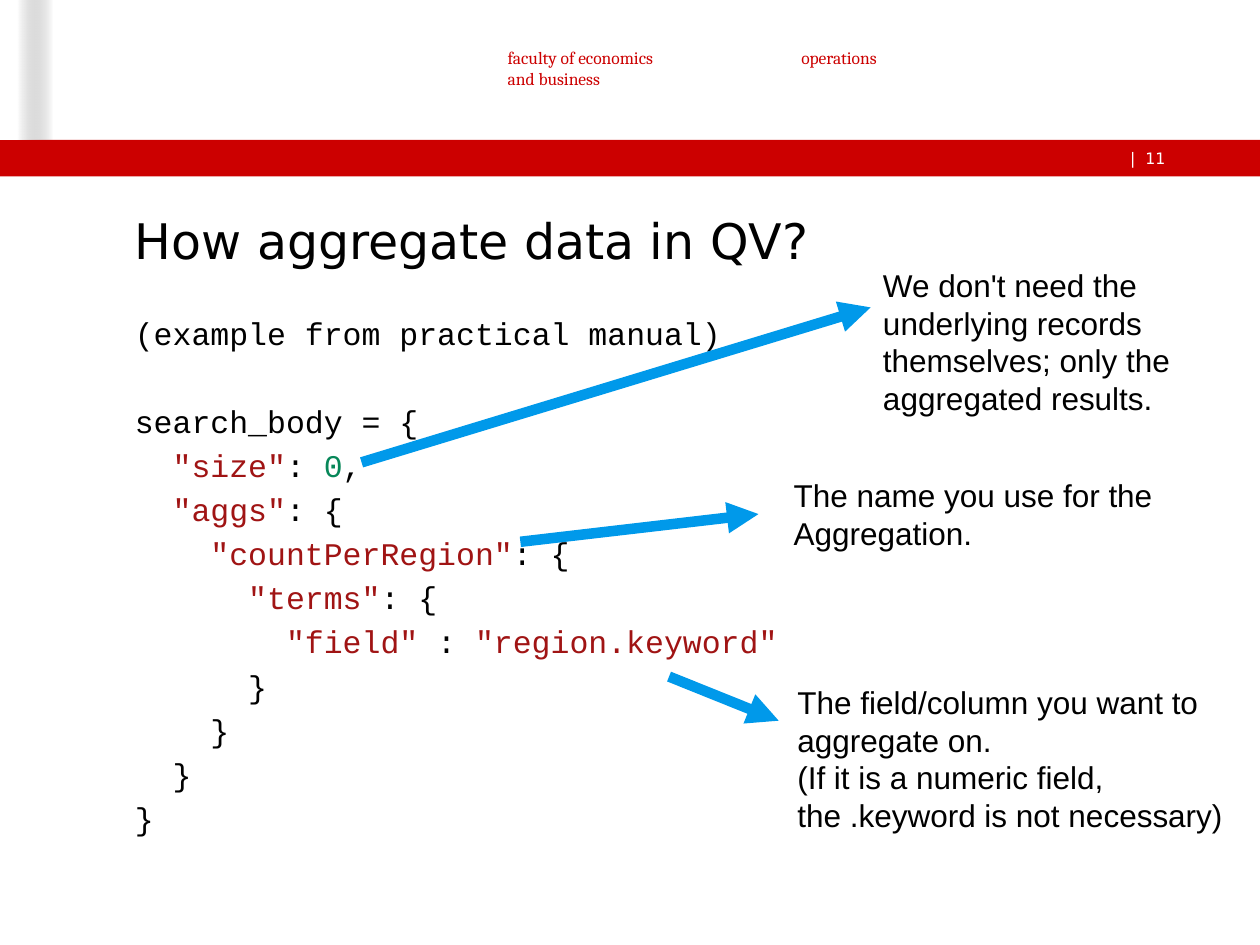
from lxml.etree import SubElement
from pptx import Presentation
from pptx.dml.color import RGBColor
from pptx.enum.shapes import MSO_CONNECTOR, MSO_SHAPE
from pptx.enum.text import MSO_ANCHOR, MSO_AUTO_SIZE, PP_ALIGN
from pptx.oxml.ns import qn
from pptx.util import Inches, Pt

RED = RGBColor(0xCC, 0x00, 0x00)
WHITE = RGBColor(0xFF, 0xFF, 0xFF)
GREY = RGBColor(0x75, 0x75, 0x75)
BLACK = RGBColor(0x00, 0x00, 0x00)
BLUE = RGBColor(0x00, 0x99, 0xEA)
KEY = RGBColor(0xA0, 0x14, 0x14)
NUMBER = RGBColor(0x07, 0x87, 0x59)

WIDTH, HEIGHT = 10, 7.5
BANNER = (0, 1.11, WIDTH, 0.29)
TITLE = (0, 1.47, WIDTH, 0.87)
BODY = (0, 2.44, WIDTH, 4.72)
BODY_INSETS = (1.07, 0.05, 0.3, 0.05)

CODE_SIZE = 18
INDENT = 2 * 0.6 * CODE_SIZE  # two monospaced characters, in points
LINE_GAP = 3.6
BLANK_LINE = 25.2

# Each line: indent level, then (text, colour) parts
CODE = [
    (0, ("(example from practical manual)", BLACK)),
    (0, ("search_body = {", BLACK)),
    (1, ('"size"', KEY), (": ", BLACK), ("0", NUMBER), (",", BLACK)),
    (1, ('"aggs"', KEY), (": {", BLACK)),
    (2, ('"countPerRegion"', KEY), (": {", BLACK)),
    (3, ('"terms"', KEY), (": {", BLACK)),
    (4, ('"field" ', KEY), (": ", BLACK), ('"region.keyword"', KEY)),
] + [(level, ("}", BLACK)) for level in (3, 2, 1, 0)]

# Each callout: arrow start, arrow end, text box, lines
CALLOUTS = [
    ((4.13, 4.3), (6.02, 4.08), (6.2, 3.73, 3.08, 0.71),
     ["The name you use for the", "Aggregation."]),
    ((5.31, 5.37), (6.18, 5.72), (6.23, 5.37, 3.76, 1.31),
     ["The field/column you want to aggregate on.",
      "(If it is a numeric field,", "the .keyword is not necessary)"]),
    ((2.87, 3.67), (6.91, 2.44), (6.91, 2.06, 2.74, 1.31),
     ["We don't need the underlying records themselves; "
      "only the aggregated results."]),
]


def add_run(p, text, font="Arial", size=18, color=BLACK):
    r = p.add_run()
    r.text = text
    r.font.name, r.font.size = font, Pt(size)
    r.font.color.rgb = color


def set_insets(tf, insets):
    (tf.margin_left, tf.margin_top,
     tf.margin_right, tf.margin_bottom) = map(Inches, insets)


def add_text(s, box, lines, insets=(0.1, 0.05, 0.1, 0.05), **fmt):
    tf = s.shapes.add_textbox(*map(Inches, box)).text_frame
    tf.word_wrap = True
    set_insets(tf, insets)
    for i, line in enumerate(lines):
        p = tf.add_paragraph() if i else tf.paragraphs[0]
        add_run(p, line, **fmt)


def add_rect(s, box, color):
    sp = s.shapes.add_shape(MSO_SHAPE.RECTANGLE, *map(Inches, box))
    sp.shadow.inherit = False
    sp.fill.solid()
    sp.fill.fore_color.rgb = color
    sp.line.fill.background()
    return sp


def add_arrow(s, start, end):
    line = s.shapes.add_connector(MSO_CONNECTOR.STRAIGHT,
                                  *map(Inches, start + end))
    line.line.color.rgb = BLUE
    line.line.width = Pt(6)
    spPr = line._element.spPr
    SubElement(spPr.get_or_add_ln(), qn("a:tailEnd"), type="triangle")
    SubElement(spPr, qn("a:effectLst"))


def build_header(s, box):
    left, top, width, height = box
    add_rect(s, box, RED)

    # Fading strip beside a white margin
    strip = add_rect(s, (left + 0.14, 0, 0.28, top), WHITE)
    strip.fill.gradient()
    strip.fill.gradient_angle = 0
    for stop, color in zip(strip.fill.gradient_stops, (WHITE, GREY)):
        stop.color.rgb = color
    last = list(strip._element.spPr.iter(qn("a:srgbClr")))[-1]
    SubElement(last, qn("a:alpha"), val="0")
    add_rect(s, (left, 0, 0.14, top), WHITE)

    # Faculty, department and page number
    flush = (0, 0, 0, 0)
    small = dict(insets=flush, font="Cambria", size=10, color=RED)
    add_text(s, (4.03, top / 3, 1.26, 0.34),
             ["faculty of economics", "and business"], **small)
    add_text(s, (6.36, top / 3, 1.97, 0.46), ["operations"], **small)
    for x, w, text in ((8.97, 0.06, "|"), (9.09, 0.22, "11")):
        add_text(s, (left + x, top + 0.07, w, 0.15), [text], insets=flush,
                 font="DejaVu Sans", size=9, color=WHITE)


def place(sp, box, anchor):
    sp.left, sp.top, sp.width, sp.height = map(Inches, box)
    tf = sp.text_frame
    tf.auto_size = MSO_AUTO_SIZE.NONE
    tf.word_wrap = True
    tf.vertical_anchor = anchor
    set_insets(tf, BODY_INSETS)
    return tf


def build_title(s, box):
    p = place(s.shapes.title, box, MSO_ANCHOR.MIDDLE).paragraphs[0]
    p.alignment = PP_ALIGN.LEFT
    add_run(p, "How aggregate data in QV?", font="DejaVu Sans", size=28)


def build_code(s, box):
    tf = place(s.placeholders[1], box, MSO_ANCHOR.TOP)
    for i, (level, *parts) in enumerate(CODE):
        p = tf.add_paragraph() if i else tf.paragraphs[0]
        p.space_before = Pt(LINE_GAP + (BLANK_LINE if i == 1 else 0))
        pPr = p._p.get_or_add_pPr()
        pPr.set("marL", str(Pt(level * INDENT)))
        pPr.set("indent", "0")
        SubElement(pPr, qn("a:buNone"))
        for text, color in parts:
            add_run(p, text, font="Courier New", size=CODE_SIZE, color=color)


def build_callouts(s):
    for start, end, box, lines in CALLOUTS:
        add_arrow(s, start, end)
        add_text(s, box, lines)


def main():
    prs = Presentation()
    prs.slide_width, prs.slide_height = Inches(WIDTH), Inches(HEIGHT)
    s = prs.slides.add_slide(prs.slide_layouts[1])
    build_header(s, BANNER)
    build_title(s, TITLE)
    build_code(s, BODY)
    build_callouts(s)
    prs.save("out.pptx")


if __name__ == "__main__":
    main()
